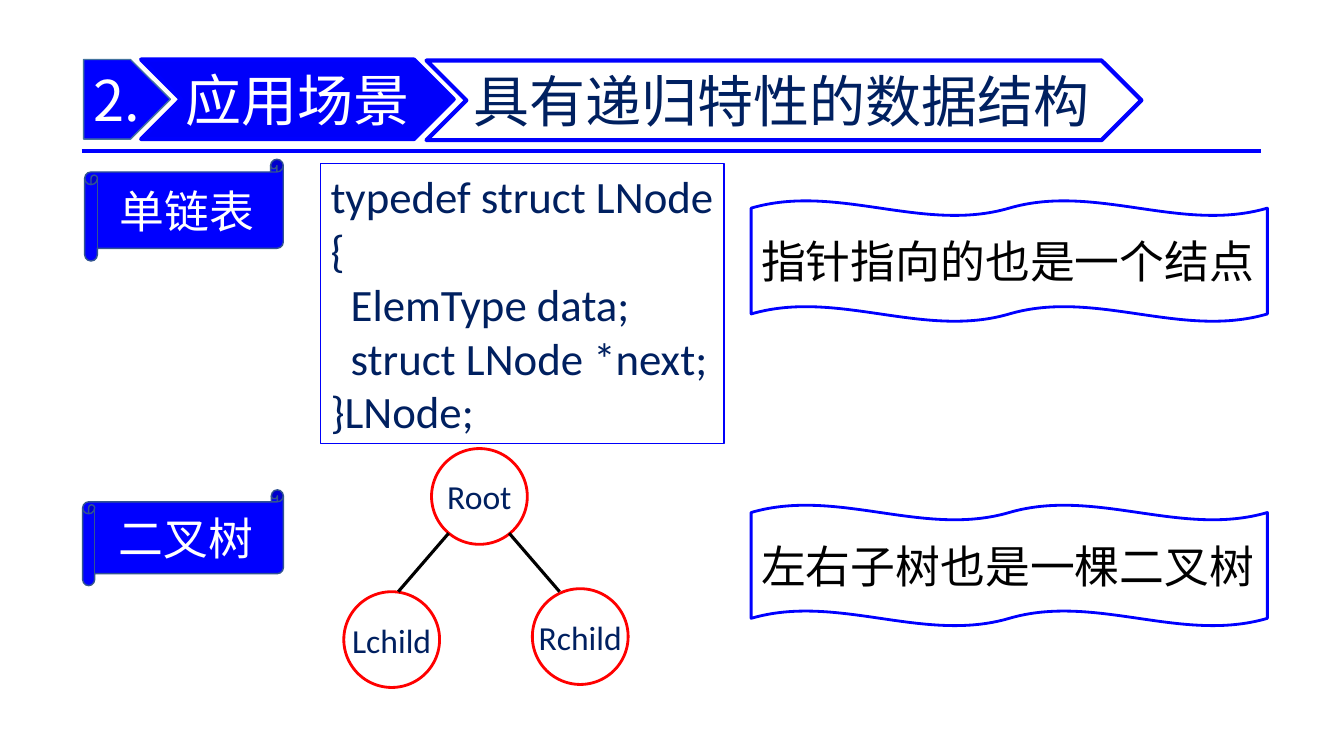
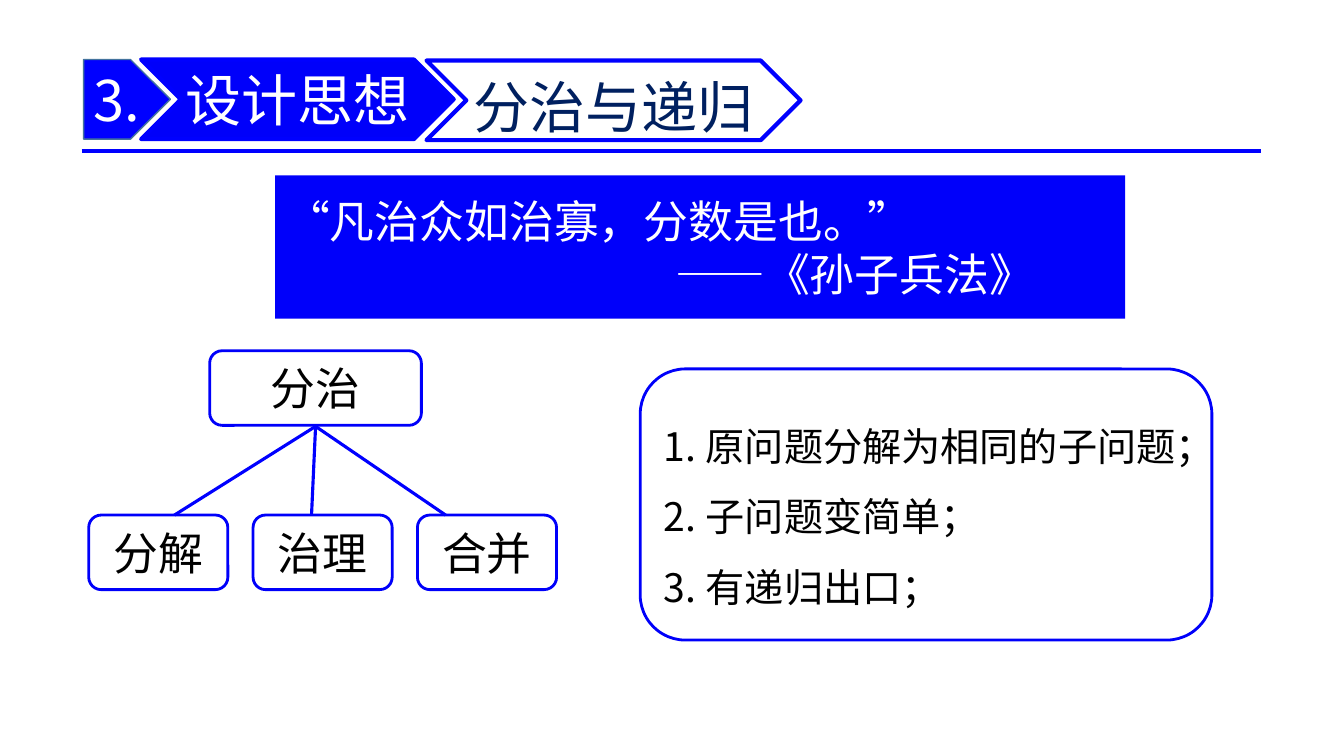
"""Build two lecture slides on recursion: data structures and divide and conquer."""
from lxml import etree
from pptx import Presentation
from pptx.dml.color import RGBColor
from pptx.enum.shapes import MSO_CONNECTOR, MSO_SHAPE
from pptx.enum.text import MSO_ANCHOR, MSO_AUTO_SIZE, PP_ALIGN
from pptx.oxml.ns import qn
from pptx.util import Inches, Pt

LEFT, CENTER = PP_ALIGN.LEFT, PP_ALIGN.CENTER
MIDDLE, NO_FIT = MSO_ANCHOR.MIDDLE, MSO_AUTO_SIZE.NONE
STRAIGHT = MSO_CONNECTOR.STRAIGHT
RECT, ROUND, OVAL = MSO_SHAPE.RECTANGLE, MSO_SHAPE.ROUNDED_RECTANGLE, MSO_SHAPE.OVAL
PLATE, CHEVRON = MSO_SHAPE.PENTAGON, MSO_SHAPE.CHEVRON
SCROLL, WAVE = MSO_SHAPE.HORIZONTAL_SCROLL, MSO_SHAPE.DOUBLE_WAVE

COLOR = {"blue": "0000FF", "deep": "0000FA", "navy": "002060", "steel": "43739E",
         "slate": "325491", "red": "FF0000", "white": "FFFFFF", "black": "000000"}
HAN, LATIN = "Noto Sans CJK SC", "Calibri"

HEADS = [
    {"num": "2.", "part": "应用场景", "title": "具有递归特性的数据结构", "wide": 7.09, "mid": 0.99},
    {"num": "3.", "part": "设计思想", "title": "分治与递归", "wide": 3.71, "mid": 1.05},
]
SCROLLS = [("单链表", (0.84, 1.58, 1.97, 1.01)), ("二叉树", (0.82, 4.86, 1.99, 0.95))]
CODE = [("typedef struct LNode", 0), ("{", 0), ("ElemType data;", 0.2),
        ("struct LNode *next;", 0.2), ("}LNode;", 0)]
WAVES = [("指针指向的也是一个结点", 1.99), ("左右子树也是一棵二叉树", 5.01)]
NODES = [("Root", 4.28, 4.45), ("Lchild", 3.41, 5.87), ("Rchild", 5.28, 5.84)]
QUOTE = [("“凡治众如治寡，分数是也。”", 0), ("——《孙子兵法》", 3.87)]
STEPS = [("分解", 1.73), ("治理", 3.09), ("合并", 4.42)]
RULES = ["原问题分解为相同的子问题；", "子问题变简单；", "有递归出口；"]


def rgb(name):
    return RGBColor.from_string(COLOR[name])


def style(para, size, color, face=HAN, align=LEFT):
    para.alignment = align
    font = para.font
    font.size, font.name, font.color.rgb = Pt(size), face, rgb(color)
    etree.SubElement(font._element, qn("a:ea")).set("typeface", face)


def indent(para, left, first=0):
    props = para._p.get_or_add_pPr()
    props.set("marL", str(Inches(left)))
    props.set("indent", str(Inches(first)))
    return props


def write(shape, lines, size, color, face=HAN, align=LEFT, wrap=True):
    frame = shape.text_frame
    frame.word_wrap, frame.vertical_anchor = wrap, MIDDLE
    frame.text = "\n".join(text for text, _ in lines)
    for para, (_, left) in zip(frame.paragraphs, lines):
        style(para, size, color, face, align)
        if left:
            indent(para, left)


def draw(slide, kind, box, fill, edge=None, width=2):
    shape = slide.shapes.add_shape(kind, *map(Inches, box))
    shape.shadow.inherit = False
    shape.fill.solid()
    shape.fill.fore_color.rgb = rgb(fill)
    if edge:
        shape.line.color.rgb, shape.line.width = rgb(edge), Pt(width)
    else:
        shape.line.fill.background()
    return shape


def link(slide, start, end, color="blue", width=2.25):
    line = slide.shapes.add_connector(STRAIGHT, *map(Inches, start + end))
    line.line.color.rgb, line.line.width = rgb(color), Pt(width)
    etree.SubElement(line._element.spPr, qn("a:effectLst"))
    return line


def place(holder, box):
    holder.left, holder.top, holder.width, holder.height = map(Inches, box)
    frame = holder.text_frame
    frame.auto_size, frame.vertical_anchor = NO_FIT, MIDDLE
    return frame


def head(slide, info):
    draw(slide, CHEVRON, (4.23, 0.6, info["wide"], 0.79), "white", "blue", 3)
    plate = draw(slide, PLATE, (0.83, 0.59, 0.86, 0.79), "blue", "steel", 1)
    write(plate, [(info["num"], 0)], 40, "white")
    part = draw(slide, CHEVRON, (1.4, 0.59, 3.1, 0.79), "deep", "blue", 3)
    write(part, [(info["part"], 0)], 40, "white", align=CENTER, wrap=False)
    title = slide.shapes.title
    place(title, (4.6, info["mid"] - 0.5, info["wide"] - 0.6, 1))
    write(title, [(info["title"], 0)], 40, "navy")
    slide.shapes.element.append(title._element)


def structs(slide):
    for text, box in SCROLLS:
        scroll = draw(slide, SCROLL, box, "blue", "slate", 1)
        write(scroll, [(text, 0)], 32, "white", align=CENTER)
    code = draw(slide, RECT, (3.18, 1.62, 4, 2.78), "white", "deep", 1)
    code.text_frame.margin_right = 0
    write(code, CODE, 32, "navy", LATIN)
    for text, top in WAVES:
        wave = draw(slide, WAVE, (7.45, top, 5.12, 1.2), "white", "blue")
        wave.text_frame.margin_right = 0
        write(wave, [(text, 0)], 32, "black")
    for text, left, top in NODES:
        node = draw(slide, OVAL, (left, top, 0.95, 0.95), "white", "red")
        write(node, [(text, 0)], 24, "navy", LATIN, CENTER, False)
    for side in (-1, 1):
        link(slide, (4.75 + side * 0.3, 5.29), (4.75 + side * 0.8, 5.87), "black")


def divide(slide):
    quote = draw(slide, RECT, (2.73, 1.74, 8.43, 1.42), "deep")
    write(quote, QUOTE, 32, "white")
    root = draw(slide, ROUND, (2.08, 3.48, 2.1, 0.74), "white", "deep")
    write(root, [("分治", 0)], 32, "black", align=CENTER)
    for i, (text, end) in enumerate(STEPS):
        step = draw(slide, ROUND, (0.88 + i * 1.63, 5.11, 1.38, 0.74), "white", "deep")
        write(step, [(text, 0)], 32, "black", align=CENTER)
        link(slide, (3.13, 4.23), (end, 5.11))
    draw(slide, ROUND, (6.35, 3.66, 5.67, 2.69), "white", "deep")
    body = slide.placeholders[1]
    place(body, (6.48, 3.66, 5.8, 2.69))
    write(body, [(text, 0) for text in RULES], 28, "black")
    for para in body.text_frame.paragraphs:
        para.line_spacing, para.space_before = 1.5, Pt(0)
        props = indent(para, 0.42, -0.42)
        mark = etree.Element(qn("a:buAutoNum"), type="arabicPeriod")
        face = etree.Element(qn("a:buFont"), typeface=HAN)
        props.find(qn("a:defRPr")).addprevious(face)
        face.addnext(mark)
    slide.shapes.element.append(body._element)


def main():
    deck = Presentation()
    deck.slide_width, deck.slide_height = Inches(13.33), Inches(7.5)
    for info, layout, fill in zip(HEADS, (5, 1), (structs, divide)):
        slide = deck.slides.add_slide(deck.slide_layouts[layout])
        fill(slide)
        head(slide, info)
    rule = link(slide, (0.81, 1.5), (12.51, 1.5), width=3)
    deck.slide_master.shapes.element.append(rule._element)
    deck.save("out.pptx")


if __name__ == "__main__":
    main()
